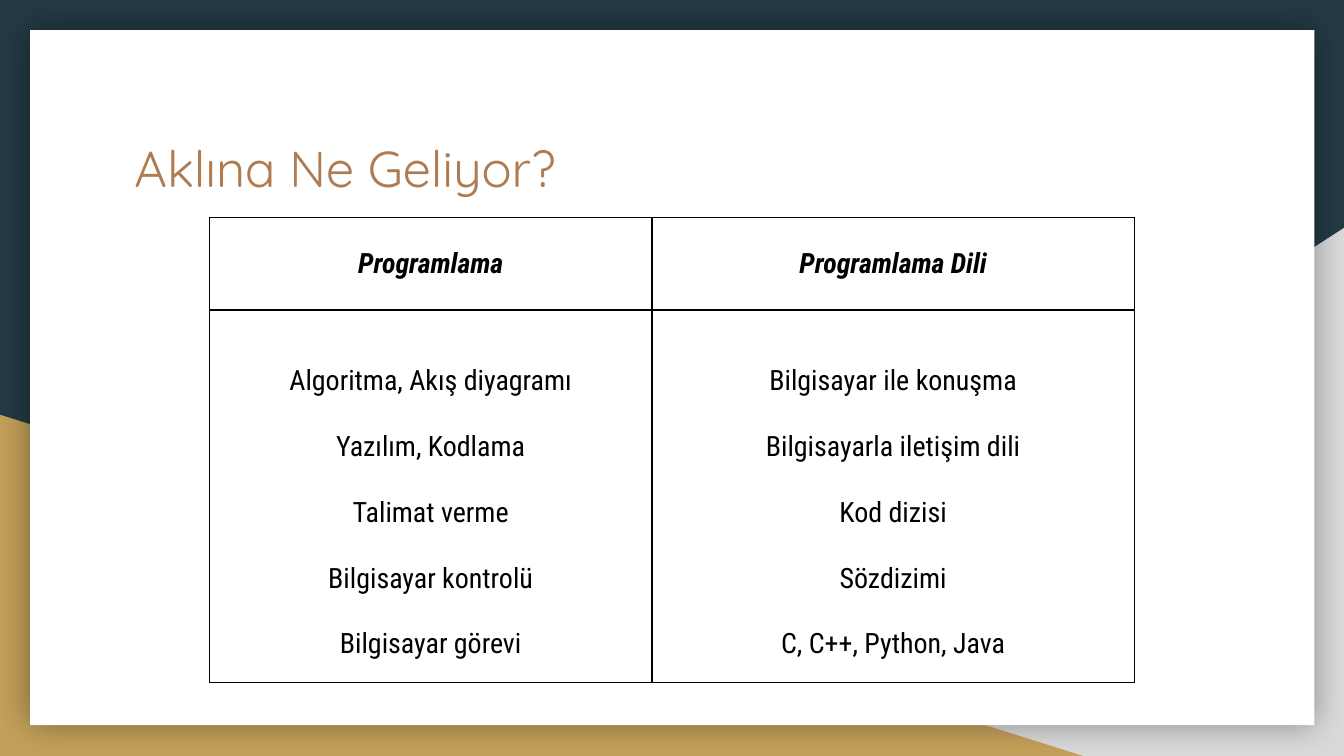
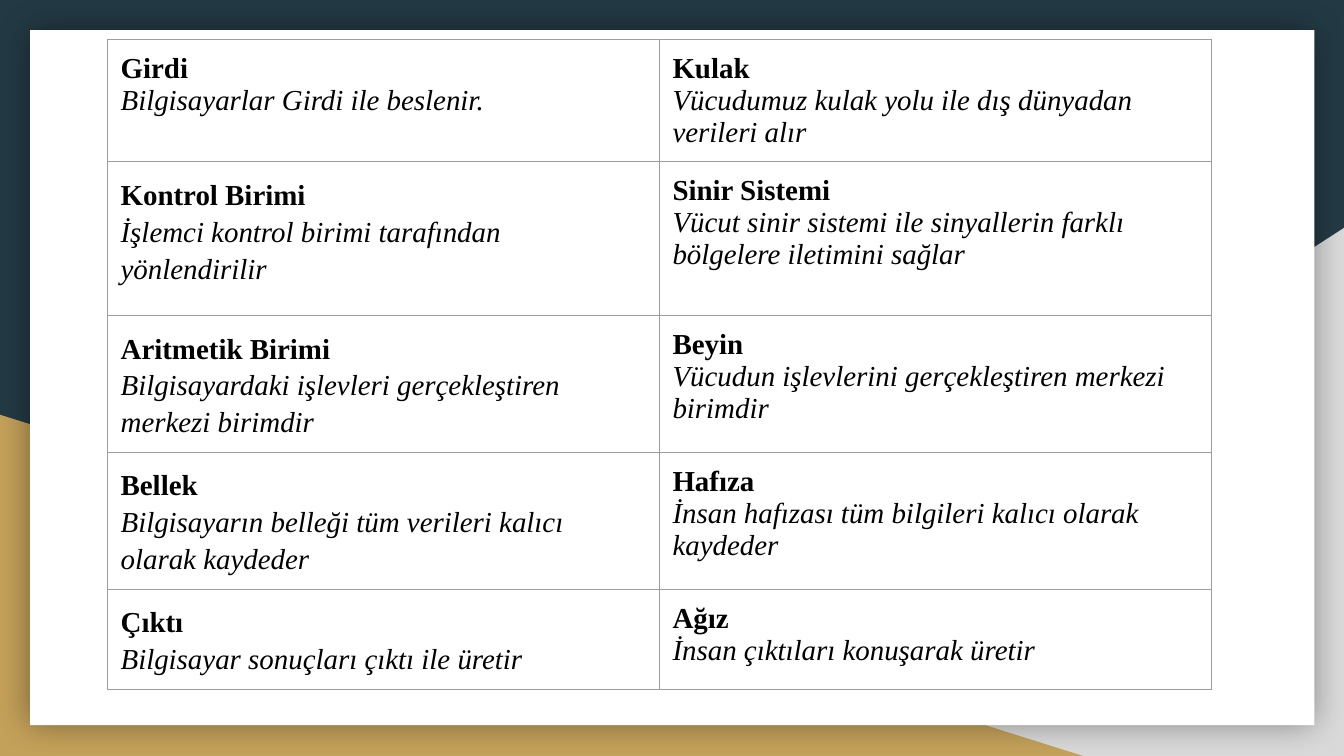
import pptx
import pptx.util
import pptx.dml.color
import pptx.enum.shapes
import pptx.enum.text
import pptx.oxml
import pptx.oxml.ns

Cm, Pt = pptx.util.Cm, pptx.util.Pt
SHAPE = pptx.enum.shapes.MSO_SHAPE
ALIGN = pptx.enum.text.PP_ALIGN
ANCHOR = pptx.enum.text.MSO_ANCHOR

COLORS = {
    "navy": "233A44",
    "silver": "D9D9D9",
    "gold": "C4A15A",
    "white": "FFFFFF",
    "copper": "AF7B51",
    "black": "000000",
    "grid": "9E9E9E",
}

BACKDROP = [
    ("silver", SHAPE.RIGHT_TRIANGLE, (9.96, 4.31, 15.44, 9.98)),
    ("gold", SHAPE.RIGHT_TRIANGLE, (0, 7.84, 20.47, 6.45)),
    ("white", SHAPE.RECTANGLE, (0.57, 0.57, 24.27, 13.14)),
]

TITLE = "Aklına Ne Geliyor?"
TITLE_AREA = (2.29, 2.34, 20.85, 2.64)
TITLE_FONT = {"name": "Quicksand", "size": Pt(27), "bold": False}

CONCEPTS = {
    "Programlama": [
        "Algoritma, Akış diyagramı",
        "Yazılım, Kodlama",
        "Talimat verme",
        "Bilgisayar kontrolü",
        "Bilgisayar görevi",
    ],
    "Programlama Dili": [
        "Bilgisayar ile konuşma",
        "Bilgisayarla iletişim dili",
        "Kod dizisi",
        "Sözdizimi",
        "C, C++, Python, Java",
    ],
}
CONCEPT_FONT = {"name": "Roboto Condensed", "size": Pt(15)}

ANALOGIES = [
    (("Girdi", "Bilgisayarlar Girdi ile beslenir."),
     ("Kulak", "Vücudumuz kulak yolu ile dış dünyadan verileri alır")),
    (("Kontrol Birimi", "İşlemci kontrol birimi tarafından yönlendirilir"),
     ("Sinir Sistemi", "Vücut sinir sistemi ile sinyallerin farklı bölgelere iletimini sağlar")),
    (("Aritmetik Birimi", "Bilgisayardaki işlevleri gerçekleştiren merkezi birimdir"),
     ("Beyin", "Vücudun işlevlerini gerçekleştiren merkezi birimdir")),
    (("Bellek", "Bilgisayarın belleği tüm verileri kalıcı olarak kaydeder"),
     ("Hafıza", "İnsan hafızası tüm bilgileri kalıcı olarak kaydeder")),
    (("Çıktı", "Bilgisayar sonuçları çıktı ile üretir"),
     ("Ağız", "İnsan çıktıları konuşarak üretir")),
]
ANALOGY_FONT = {"name": "Times New Roman", "size": Pt(15.5)}


def rgb(color):
    return pptx.dml.color.RGBColor.from_string(COLORS[color])


def apply(target, values):
    for name, value in values.items():
        setattr(target, name, value)


def format_font(font, values, color):
    apply(font, values)
    font.color.rgb = rgb(color)


def add_xml(parent, markup):
    namespace = pptx.oxml.ns.nsdecls("a")
    parent.append(pptx.oxml.parse_xml(markup.replace(">", f" {namespace}>", 1)))


def build_backdrop(deck, page):
    master = deck.slide_master
    master.background.fill.solid()
    master.background.fill.fore_color.rgb = rgb("navy")
    first_placeholder = master.placeholders[0].element
    for number, (color, kind, area) in enumerate(BACKDROP):
        shape = page.shapes.add_shape(kind, *map(Cm, area))
        shape.shadow.inherit = False
        shape.fill.solid()
        shape.fill.fore_color.rgb = rgb(color)
        shape.line.fill.background()
        properties = shape.element.spPr
        if color == "silver":
            properties.find(pptx.oxml.ns.qn("a:xfrm")).set("flipH", "1")
        if color == "white":
            add_xml(
                properties.find(pptx.oxml.ns.qn("a:effectLst")),
                f'<a:outerShdw blurRad="{Pt(18)}" dist="0" dir="0" algn="ctr" rotWithShape="0">'
                f'<a:srgbClr val="{COLORS["black"]}"><a:alpha val="40000"/></a:srgbClr>'
                "</a:outerShdw>",
            )
        shape.element.nvSpPr.cNvPr.set("id", str(100 + number))
        first_placeholder.addprevious(shape.element)


def add_grid(page, left, top, widths, heights, border, weight):
    frame = page.shapes.add_table(
        len(heights), len(widths), Cm(left), Cm(top), Cm(sum(widths)), Cm(sum(heights))
    )
    table = frame.table
    apply(table, {"first_row": False, "horz_banding": False})
    for column, width in zip(table.columns, widths):
        column.width = Cm(width)
    for row, height in zip(table.rows, heights):
        row.height = Cm(height)
    for cell in table.iter_cells():
        properties = cell._tc.get_or_add_tcPr()
        for side in "LRTB":
            add_xml(
                properties,
                f'<a:ln{side} w="{Pt(weight)}"><a:solidFill>'
                f'<a:srgbClr val="{COLORS[border]}"/></a:solidFill></a:ln{side}>',
            )
        cell.fill.background()
    return table


def fill_cell(cell, lines, font, margin, paragraph_format, anchor=ANCHOR.TOP):
    sides = ("left", "right", "top", "bottom")
    apply(cell, {f"margin_{side}": Cm(margin) for side in sides})
    cell.vertical_anchor = anchor
    for number, (text, style) in enumerate(lines):
        frame = cell.text_frame
        para = frame.add_paragraph() if number else frame.paragraphs[0]
        apply(para, paragraph_format)
        span = para.add_run()
        span.text = text
        format_font(span.font, {**font, **style}, "black")


def build_concepts(page):
    title = page.shapes.title
    apply(title, dict(zip(("left", "top", "width", "height"), map(Cm, TITLE_AREA))))
    title.text = TITLE
    apply(title.text_frame, {
        "auto_size": pptx.enum.text.MSO_AUTO_SIZE.NONE,
        "vertical_anchor": ANCHOR.TOP,
        "margin_left": Cm(0.25),
        "margin_top": Cm(0.25),
    })
    para = title.text_frame.paragraphs[0]
    para.alignment = ALIGN.LEFT
    format_font(para.runs[0].font, TITLE_FONT, "copper")

    table = add_grid(page, 3.96, 4.11, (8.36, 9.12), (1.75, 7.04), "black", 1)
    heading = {"bold": True, "italic": True}
    plain = {"bold": False, "italic": False}
    for column, (name, ideas) in enumerate(CONCEPTS.items()):
        fill_cell(table.cell(0, column), [(name, heading)], CONCEPT_FONT, 0.18,
                  {"alignment": ALIGN.CENTER}, ANCHOR.MIDDLE)
        fill_cell(table.cell(1, column), [(idea, plain) for idea in ideas], CONCEPT_FONT, 0.18,
                  {"alignment": ALIGN.CENTER, "line_spacing": 2.0}, ANCHOR.MIDDLE)


def build_analogies(page):
    heights = (1.96, 2.9, 2.34, 2.34, 1.83)
    table = add_grid(page, 2.03, 0.74, (10.43, 10.43), heights, "grid", 0.75)
    styles = ({"bold": True, "italic": False}, {"bold": False, "italic": True})
    for row, pair in enumerate(ANALOGIES):
        for column, texts in enumerate(pair):
            spacing = {"line_spacing": 1.15} if row and column == 0 else {}
            fill_cell(table.cell(row, column), list(zip(texts, styles)), ANALOGY_FONT, 0.25, spacing)


def main():
    deck = pptx.Presentation()
    apply(deck, {"slide_width": Cm(25.4), "slide_height": Cm(14.29)})
    title_only, blank = deck.slide_layouts[5], deck.slide_layouts[6]
    concepts_page = deck.slides.add_slide(title_only)
    build_backdrop(deck, concepts_page)
    build_concepts(concepts_page)
    build_analogies(deck.slides.add_slide(blank))
    deck.save("out.pptx")


if __name__ == "__main__":
    main()
